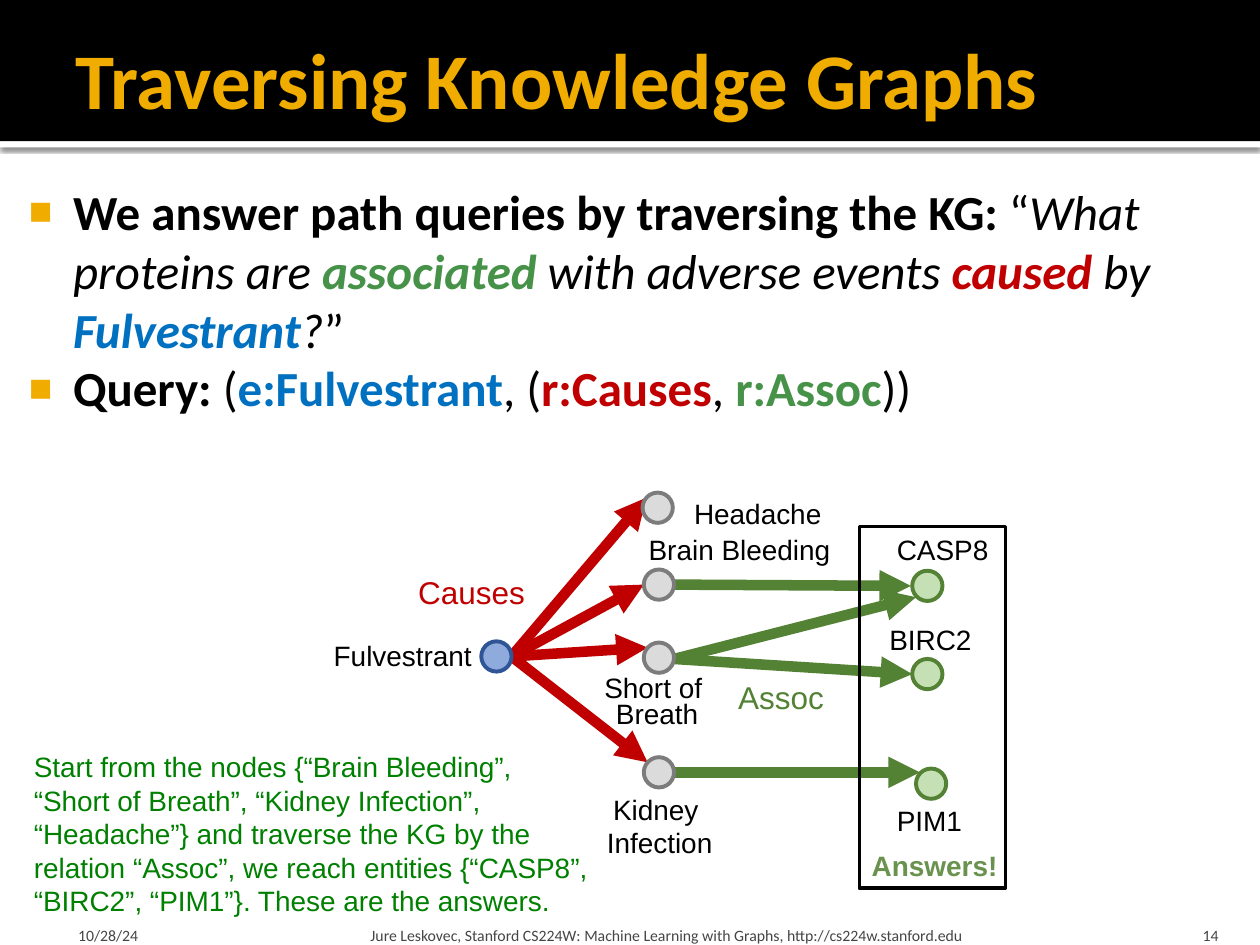
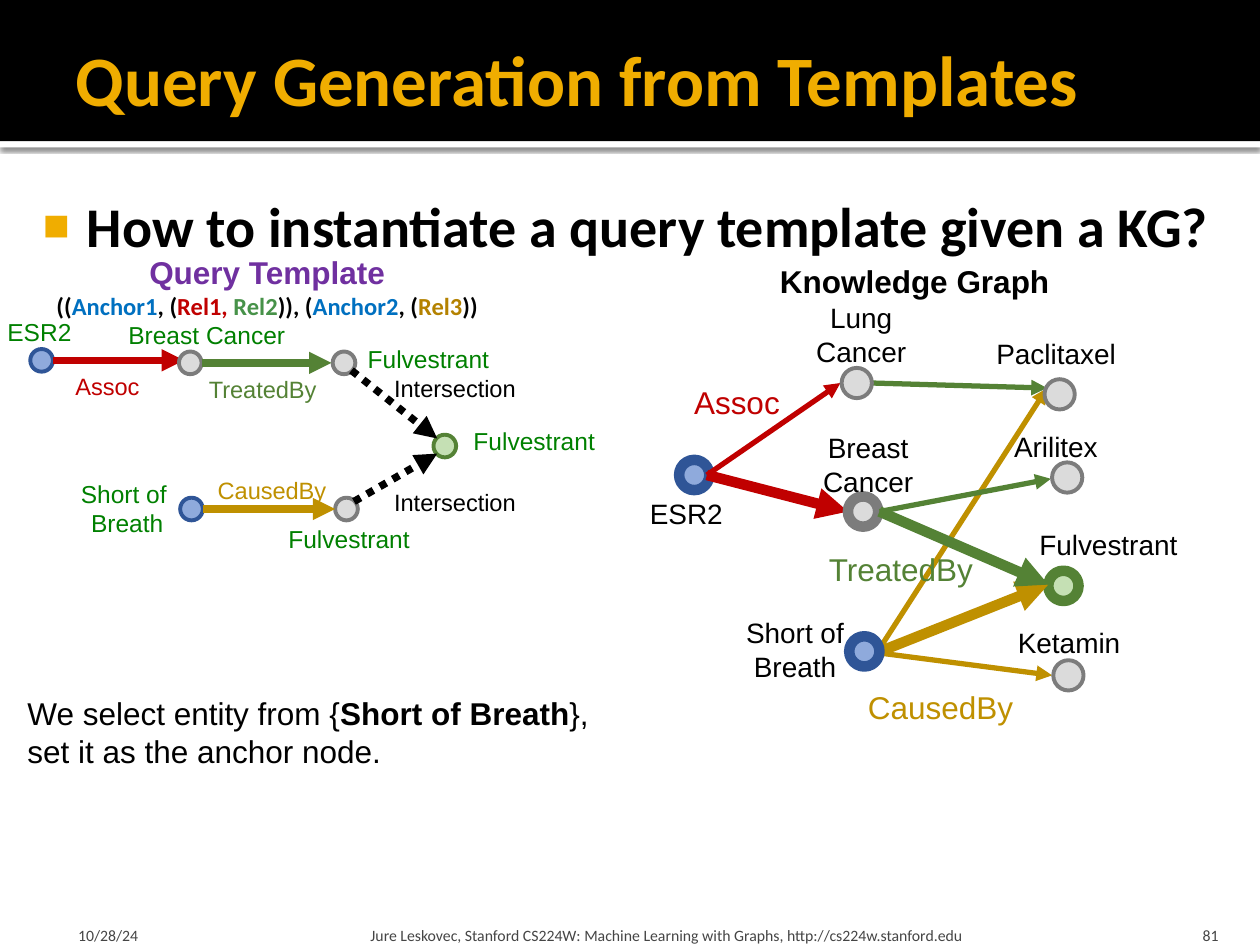
from lxml.etree import SubElement
from pptx import Presentation
from pptx.dml.color import RGBColor
from pptx.enum.dml import MSO_LINE as Dash
from pptx.enum.shapes import MSO_CONNECTOR as Connector, MSO_SHAPE as Shape
from pptx.enum.text import MSO_ANCHOR as Anchor, MSO_AUTO_SIZE as AutoSize, PP_ALIGN as Align
from pptx.oxml.ns import qn
from pptx.util import Inches, Pt

BLACK = RGBColor(0x00, 0x00, 0x00)
WHITE = RGBColor(0xFF, 0xFF, 0xFF)
AMBER = RGBColor(0xF0, 0xAD, 0x00)
FOOTER_GRAY = RGBColor(0x45, 0x45, 0x45)
RED = RGBColor(0xC0, 0x00, 0x00)
BLUE = RGBColor(0x00, 0x70, 0xC0)
LEAF = RGBColor(0x47, 0x92, 0x49)
GREEN = RGBColor(0x54, 0x82, 0x35)
ANSWER_GREEN = RGBColor(0x69, 0x92, 0x4E)
NOTE_GREEN = RGBColor(0x00, 0x80, 0x00)
GOLD = RGBColor(0xBF, 0x90, 0x00)
REL_GOLD = RGBColor(0xB4, 0x82, 0x00)
PURPLE = RGBColor(0x70, 0x30, 0xA0)

ANCHOR_NODE = (RGBColor(0x8F, 0xAA, 0xDC), RGBColor(0x2F, 0x55, 0x97))
ENTITY_NODE = (RGBColor(0xDB, 0xDB, 0xDB), RGBColor(0x7C, 0x7C, 0x7C))
ANSWER_NODE = (RGBColor(0xC5, 0xE0, 0xB4), GREEN)

TIGHT = Pt(15)
COURSE = "Jure Leskovec, Stanford CS224W: Machine Learning with Graphs, http://cs224w.stanford.edu"


class Deck:
    heading_font = "Calibri"
    label_font = "Arial"

    def __init__(self):
        self.prs = Presentation()
        self.prs.slide_width = Inches(10)
        self.prs.slide_height = Inches(7.5)
        self.slide = None

    def start(self, heading, size, number):
        self.slide = self.prs.slides.add_slide(self.prs.slide_layouts[5])
        strip = self.band(1.12, 0.05, WHITE)
        self.cast_shadow(strip)
        self.band(0, 1.12, BLACK)
        title = self.slide.shapes.title
        title.element.getparent().append(title.element)
        title.left, title.top, title.width, title.height = map(Inches, (0.5, 0.08, 9, 1.08))
        title.text = heading
        self.frame(title.text_frame, (0.1, 0.05, 0.05, 0.05), Anchor.MIDDLE)
        line = title.text_frame.paragraphs[0]
        line.alignment = Align.LEFT
        self.style(line.font, self.heading_font, size, AMBER, True)
        self.footer(0.5, 2.33, "10/28/24", 0.12, 0.05)
        self.footer(2.89, 6.02, COURSE, 0.05, 0.05)
        self.footer(8.97, 0.8, str(number), 0.1, 0.1, Align.RIGHT)

    def style(self, font, name, size, color, bold=False):
        font.name, font.size, font.bold = name, Pt(size), bold
        font.color.rgb = color

    def frame(self, text_frame, insets, anchor=Anchor.TOP):
        text_frame.word_wrap = True
        text_frame.auto_size = AutoSize.NONE
        text_frame.vertical_anchor = anchor
        (text_frame.margin_left, text_frame.margin_top,
         text_frame.margin_right, text_frame.margin_bottom) = map(Inches, insets)

    def textbox(self, *box):
        return self.slide.shapes.add_textbox(*map(Inches, box)).text_frame

    def preset(self, kind, box, fill=None, line=None, weight=1):
        shape = self.slide.shapes.add_shape(kind, *map(Inches, box))
        shape.shadow.inherit = False
        if fill is None:
            shape.fill.background()
        else:
            shape.fill.solid()
            shape.fill.fore_color.rgb = fill
        if line is None:
            shape.line.fill.background()
        else:
            shape.line.color.rgb = line
            shape.line.width = Pt(weight)
        return shape

    def band(self, top, height, color):
        return self.preset(Shape.RECTANGLE, (0, top, 10, height), color)

    def cast_shadow(self, shape):
        effects = shape.element.spPr.find(qn("a:effectLst"))
        shadow = SubElement(effects, qn("a:outerShdw"), blurRad=str(Pt(2.5)),
                            dist=str(Pt(0.8)), dir="5400000", rotWithShape="0")
        color = SubElement(shadow, qn("a:srgbClr"), val=str(BLACK))
        SubElement(color, qn("a:alpha"), val="60000")

    def footer(self, left, width, text, left_inset, right_inset, align=Align.LEFT):
        text_frame = self.textbox(left, 7.2, width, 0.3)
        self.frame(text_frame, (left_inset, 0.05, right_inset, 0), Anchor.BOTTOM)
        line = text_frame.paragraphs[0]
        line.text, line.alignment = text, align
        self.style(line.font, self.heading_font, 9, FOOTER_GRAY)

    def runs(self, paragraph, parts):
        for text, color, bold, italic in parts:
            run = paragraph.add_run()
            run.text = text
            run.font.color.rgb = color
            run.font.bold, run.font.italic = bold, italic

    def bullets(self, box, size, items):
        text_frame = self.textbox(*box)
        self.frame(text_frame, (0.06, 0.1, 0.1, 0.05))
        for index, parts in enumerate(items):
            item = text_frame.add_paragraph() if index else text_frame.paragraphs[0]
            props = item._p.get_or_add_pPr()
            props.set("marL", str(Inches(0.48)))
            props.set("indent", str(Inches(-0.35)))
            SubElement(SubElement(props, qn("a:buClr")), qn("a:srgbClr"), val=str(AMBER))
            SubElement(props, qn("a:buSzPct"), val="80000")
            SubElement(props, qn("a:buFont"), typeface=self.label_font)
            SubElement(props, qn("a:buChar"), char="■")
            item.font.name, item.font.size = self.heading_font, Pt(size)
            self.runs(item, parts)

    def label(self, box, text, size=16, color=BLACK, bold=False,
              spacing=None, wrap=False, center=False):
        text_frame = self.textbox(*box)
        text_frame.word_wrap = wrap
        text_frame.auto_size = AutoSize.SHAPE_TO_FIT_TEXT
        text_frame.text = text
        for line in text_frame.paragraphs:
            if center or "\n" in text:
                line.alignment = Align.CENTER
            if spacing:
                line.line_spacing = spacing
            self.style(line.font, self.label_font, size, color, bold)
        return text_frame

    def node(self, left, top, colors, size=0.24, weight=2.25):
        self.preset(Shape.OVAL, (left, top, size, size), *colors, weight)

    def arrow(self, start, end, color, weight=6, dash=None):
        link = self.slide.shapes.add_connector(
            Connector.STRAIGHT, *map(Inches, (*start, *end)))
        link.line.color.rgb = color
        link.line.width = Pt(weight)
        if dash:
            link.line.dash_style = dash
        SubElement(link.line._get_or_add_ln(), qn("a:tailEnd"), type="triangle")
        SubElement(link._element.spPr, qn("a:effectLst"))


def traversal_slide(deck):
    deck.start("Traversing Knowledge Graphs", 45, 14)
    deck.bullets((0.04, 1.34, 9.74, 2.48), 28, [
        [("We answer path queries by traversing the KG: ", BLACK, True, False),
         ("“", BLACK, False, False),
         ("What proteins are ", BLACK, False, True),
         ("associated", LEAF, True, True),
         (" with adverse events ", BLACK, False, True),
         ("caused", RED, True, True),
         (" by ", BLACK, False, True),
         ("Fulvestrant", BLUE, True, True),
         ("?", BLACK, False, True),
         ("”", BLACK, False, False)],
        [("Query:", BLACK, True, False),
         (" (", BLACK, False, False),
         ("e:Fulvestrant", BLUE, True, False),
         (", (", BLACK, False, False),
         ("r:Causes", RED, True, False),
         (", ", BLACK, False, False),
         ("r:Assoc", LEAF, True, False),
         ("))", BLACK, False, False)],
    ])

    fulvestrant, breath = (4.06, 5.21), (5.35, 5.23)
    for event in [(5.13, 3.95), (5.11, 4.64), (5.14, 5.14), (5.14, 6.05)]:
        deck.arrow(fulvestrant, event, RED)
    for event, protein in [(breath, (7.27, 4.74)), ((5.35, 6.13), (7.3, 6.13)),
                           ((5.35, 4.64), (7.23, 4.65)), (breath, (7.24, 5.35))]:
        deck.arrow(event, protein, GREEN)

    deck.node(3.82, 5.09, ANCHOR_NODE)
    for left, top in [(5.1, 3.91), (5.11, 4.52), (5.11, 5.1), (5.11, 6.01)]:
        deck.node(left, top, ENTITY_NODE)
    for left, top in [(7.24, 4.53), (7.24, 5.23), (7.27, 6.1)]:
        deck.node(left, top, ANSWER_NODE)
    deck.preset(Shape.RECTANGLE, (6.82, 4.18, 1.16, 2.87), None, BLACK, 2)

    deck.label((3.22, 4.5, 1.06, 0.4), "Causes", 18, RED)
    deck.label((5.76, 5.33, 0.89, 0.4), "Assoc", 18, GREEN)
    for box, name in [((5.41, 3.89, 1.22, 0.37), "Headache"),
                      ((5.05, 4.18, 1.66, 0.37), "Brain Bleeding"),
                      ((4.71, 6.24, 1.05, 0.64), "Kidney \nInfection"),
                      ((7.02, 4.18, 0.93, 0.37), "CASP8"),
                      ((6.96, 4.89, 0.86, 0.37), "BIRC2")]:
        deck.label(box, name)
    deck.label((2.55, 5.08, 1.32, 0.31), "Fulvestrant", spacing=TIGHT, wrap=True)
    deck.label((4.69, 5.33, 1.05, 0.52), "Short of \nBreath", spacing=TIGHT)
    deck.label((7.02, 6.39, 0.73, 0.31), "PIM1", spacing=TIGHT)
    deck.label((6.82, 6.74, 1.21, 0.31), "Answers!", 16, ANSWER_GREEN, True, TIGHT)
    deck.label((0.17, 5.9, 4.64, 1.45),
               "Start from the nodes {“Brain Bleeding”, “Short of Breath”, “Kidney Infection”, "
               "“Headache”} and traverse the KG by the relation “Assoc”, we reach entities "
               "{“CASP8”, “BIRC2”, “PIM1”}. These are the answers.",
               color=NOTE_GREEN, wrap=True)


def query_template(deck):
    heading = deck.label((0.26, 1.96, 3.72, 0.94), "Query Template", 18, PURPLE, True, center=True)
    formula = heading.add_paragraph()
    formula.alignment = Align.CENTER
    formula.font.name, formula.font.size = deck.heading_font, Pt(14)
    deck.runs(formula, [(text, color, True, False) for text, color in [
        ("((", BLACK), ("Anchor1", BLUE), (", (", BLACK), ("Rel1, ", RED), ("Rel2", LEAF),
        (")), (", BLACK), ("Anchor2", BLUE), (", (", BLACK), ("Rel3", REL_GOLD), ("))", BLACK)]])

    for left, top, colors in [(0.24, 2.77, ANCHOR_NODE), (1.43, 3.95, ANCHOR_NODE),
                              (2.64, 2.79, ENTITY_NODE), (2.66, 3.95, ENTITY_NODE),
                              (3.44, 3.45, ANSWER_NODE)]:
        deck.node(left, top, colors, 0.18)
    deck.arrow((0.42, 2.86), (1.46, 2.86), RED, 4.25)
    deck.node(1.42, 2.79, ENTITY_NODE, 0.18)
    deck.arrow((1.6, 2.88), (2.63, 2.88), GREEN, 4.25)
    deck.arrow((1.61, 4.04), (2.66, 4.04), GOLD, 4.25)
    deck.arrow((2.79, 2.94), (3.47, 3.48), BLACK, 4.25, Dash.ROUND_DOT)
    deck.arrow((2.81, 3.98), (3.47, 3.6), BLACK, 4.25, Dash.ROUND_DOT)

    for left, top, width, relation, color in [(0.5, 2.9, 0.72, "Assoc", RED),
                                              (1.56, 2.93, 1.07, "TreatedBy", GREEN),
                                              (1.63, 3.73, 1.07, "CausedBy", GOLD),
                                              (3.03, 2.92, 1.18, "Intersection", BLACK),
                                              (3.03, 3.82, 1.18, "Intersection", BLACK)]:
        deck.label((left, top, width, 0.33), relation, 13.5, color)
    for box, entity in [((-0.04, 2.47, 0.72, 0.34), "ESR2"),
                        ((0.92, 2.49, 1.45, 0.34), "Breast Cancer"),
                        ((2.82, 2.68, 1.17, 0.34), "Fulvestrant"),
                        ((3.66, 3.33, 1.17, 0.34), "Fulvestrant"),
                        ((2.19, 4.11, 1.17, 0.34), "Fulvestrant"),
                        ((0.54, 3.75, 0.94, 0.57), "Short of \nBreath")]:
        deck.label(box, entity, 14, NOTE_GREEN)


def knowledge_graph(deck):
    deck.label((6.08, 2.03, 2.36, 0.4), "Knowledge Graph", 18, bold=True, center=True)
    deck.node(5.39, 3.65, ANCHOR_NODE, weight=6)
    deck.node(8.32, 4.53, ANSWER_NODE, weight=6)

    esr2, breast, breath = (5.61, 3.77), (6.98, 4.06), (6.96, 5.18)
    paclitaxel, fulvestrant = (8.31, 3.08), (8.32, 4.64)
    deck.arrow(esr2, (6.73, 4.06), RED)
    deck.node(6.73, 3.94, ENTITY_NODE, weight=6)
    for start, end, color, weight in [(breath, paclitaxel, GOLD, 3),
                                      (breath, (8.35, 5.36), GOLD, 3),
                                      (esr2, (6.67, 3.04), RED, 3),
                                      ((6.92, 3.04), paclitaxel, GREEN, 3),
                                      (breast, (8.34, 3.8), GREEN, 3),
                                      (breath, fulvestrant, GOLD, 6),
                                      (breast, fulvestrant, GREEN, 6)]:
        deck.arrow(start, end, color, weight)
    for left, top in [(6.68, 2.92), (8.29, 3.01), (8.35, 3.67), (8.36, 5.24)]:
        deck.node(left, top, ENTITY_NODE)
    deck.node(6.74, 5.05, ANCHOR_NODE, weight=6)

    for box, relation, color in [((5.41, 2.99, 0.89, 0.4), "Assoc", RED),
                                 ((6.48, 4.32, 1.36, 0.4), "TreatedBy", GREEN),
                                 ((6.79, 5.41, 1.37, 0.4), "CausedBy", GOLD)]:
        deck.label(box, relation, 18, color)
    for box, entity in [((6.36, 2.34, 0.95, 0.64), "Lung\nCancer"),
                        ((6.43, 3.37, 0.92, 0.64), "Breast\nCancer"),
                        ((7.81, 2.62, 1.16, 0.37), "Paclitaxel"),
                        ((7.95, 3.36, 1.07, 0.37), "Arilitex"),
                        ((8.15, 4.14, 1.31, 0.37), "Fulvestrant")]:
        deck.label(box, entity)
    deck.label((5.73, 4.84, 1.16, 0.64), "Short of\nBreath", wrap=True)
    deck.label((7.98, 4.97, 1.02, 0.31), "Ketamin", spacing=TIGHT)
    deck.label((5.06, 3.95, 0.96, 0.31), "ESR2", spacing=TIGHT, wrap=True)


def template_slide(deck):
    deck.start("Query Generation from Templates", 40.5, 81)
    deck.bullets((0.15, 1.42, 9.85, 3.52), 32, [
        [("How to instantiate a query template given a KG?", BLACK, True, False)]])
    query_template(deck)
    knowledge_graph(deck)
    selection = deck.textbox(0.12, 5.46, 4.7, 0.71)
    selection.word_wrap = True
    sentence = selection.paragraphs[0]
    sentence.font.name, sentence.font.size = deck.label_font, Pt(18)
    deck.runs(sentence, [("We select entity from {", BLACK, False, False),
                         ("Short of Breath", BLACK, True, False),
                         ("}, set it as the anchor node.", BLACK, False, False)])


def main():
    deck = Deck()
    traversal_slide(deck)
    template_slide(deck)
    deck.prs.save("out.pptx")


if __name__ == "__main__":
    main()
